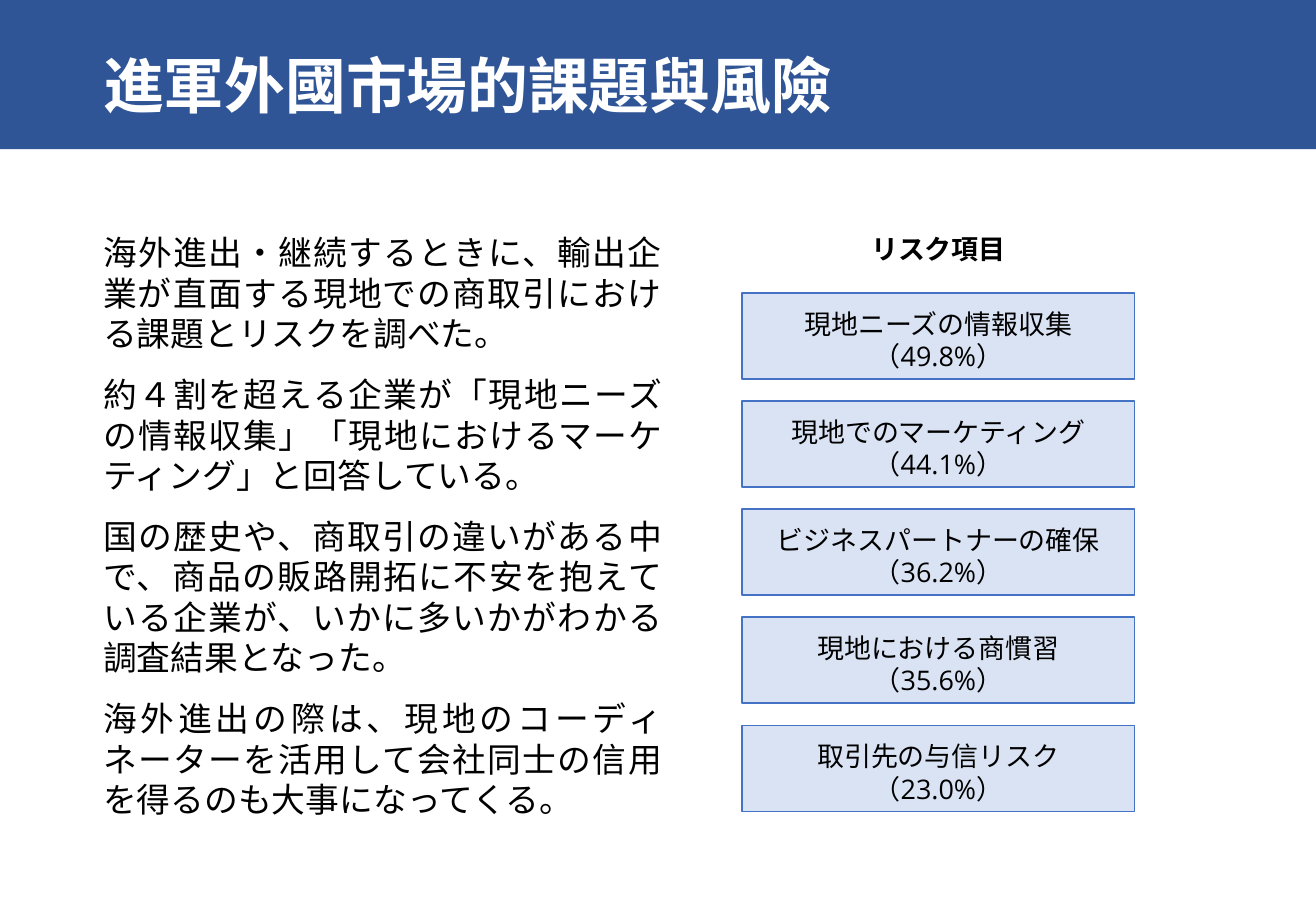
import dataclasses

import pptx
import pptx.dml.color
import pptx.enum.shapes
import pptx.enum.text
import pptx.util

Pt = pptx.util.Pt
Align = pptx.enum.text.PP_ALIGN


@dataclasses.dataclass(frozen=True)
class Theme:
    font: str = "Open Sans"
    banner: str = "2F5597"
    card: str = "DAE3F3"
    outline: str = "4472C4"
    ink: str = "000000"
    paper: str = "FFFFFF"
    title_size: int = 36
    body_size: int = 20
    card_size: int = 16


THEME = Theme()

TITLE = "進軍外國市場的課題與風險"
FINDINGS = [
    "海外進出・継続するときに、輸出企業が直面する現地での商取引における課題とリスクを調べた。",
    "約４割を超える企業が「現地ニーズの情報収集」「現地におけるマーケティング」と回答している。",
    "国の歴史や、商取引の違いがある中で、商品の販路開拓に不安を抱えている企業が、いかに多いかがわかる調査結果となった。",
    "海外進出の際は、現地のコーディネーターを活用して会社同士の信用を得るのも大事になってくる。",
]
RISK_HEADING = "リスク項目"
RISKS = [
    ("現地ニーズの情報収集", "49.8%"),
    ("現地でのマーケティング", "44.1%"),
    ("ビジネスパートナーの確保", "36.2%"),
    ("現地における商慣習", "35.6%"),
    ("取引先の与信リスク", "23.0%"),
]


def color(value):
    return pptx.dml.color.RGBColor.from_string(value)


def write(frame, text, size, ink=THEME.ink, bold=False, align=Align.LEFT, after=0):
    para = frame.paragraphs[0]
    if para.runs:
        para = frame.add_paragraph()
    para.alignment = align
    para.space_after = Pt(after)
    para.text = text
    for span in para.runs:
        span.font.name = THEME.font
        span.font.size = Pt(size)
        span.font.bold = bold
        span.font.color.rgb = color(ink)


def add_frame(page, left, top, width, height):
    box = page.shapes.add_textbox(Pt(left), Pt(top), Pt(width), Pt(height))
    box.text_frame.word_wrap = True
    return box.text_frame


def add_panel(page, left, top, width, height, fill, outline=None):
    panel = page.shapes.add_shape(
        pptx.enum.shapes.MSO_SHAPE.RECTANGLE, Pt(left), Pt(top), Pt(width), Pt(height)
    )
    panel.shadow.inherit = False
    panel.fill.solid()
    panel.fill.fore_color.rgb = color(fill)
    if outline:
        panel.line.color.rgb = color(outline)
        panel.line.width = Pt(1)
    else:
        panel.line.fill.background()
    return panel


def add_banner(page, left, top, width, height):
    add_panel(page, left, top, width, height, THEME.banner)
    frame = add_frame(page, left + 54, top + 24.5, 480, 51)
    write(frame, TITLE, THEME.title_size, ink=THEME.paper, bold=True)


def add_findings(page, left, top, width, height):
    frame = add_frame(page, left, top, width, height)
    for finding in FINDINGS:
        write(frame, finding, THEME.body_size, align=Align.JUSTIFY, after=12)


def add_risks(page, left, top, width, height):
    heading = add_frame(page, left, top, width, 26.5)
    write(heading, RISK_HEADING, THEME.card_size, bold=True, align=Align.CENTER)
    first, card_height = 39.5, 51
    pitch = (height - first - card_height) / (len(RISKS) - 1)
    for index, (risk, share) in enumerate(RISKS):
        card_top = top + first + index * pitch
        card = add_panel(page, left, card_top, width, card_height, THEME.card, THEME.outline)
        frame = card.text_frame
        frame.word_wrap = True
        frame.vertical_anchor = pptx.enum.text.MSO_ANCHOR.TOP
        frame.margin_top = Pt(8.5)
        frame.margin_bottom = Pt(0)
        write(frame, f"{risk}\n（{share}）", THEME.card_size, align=Align.CENTER)


def main():
    deck = pptx.Presentation()
    deck.slide_width, deck.slide_height = Pt(780), Pt(540)
    page = deck.slides.add_slide(deck.slide_layouts[6])
    add_banner(page, 0, 0, 780, 88.5)
    add_findings(page, 54, 134, 345.5, 358.5)
    add_risks(page, 440, 134, 232.5, 347)
    deck.save("out.pptx")


if __name__ == "__main__":
    main()
